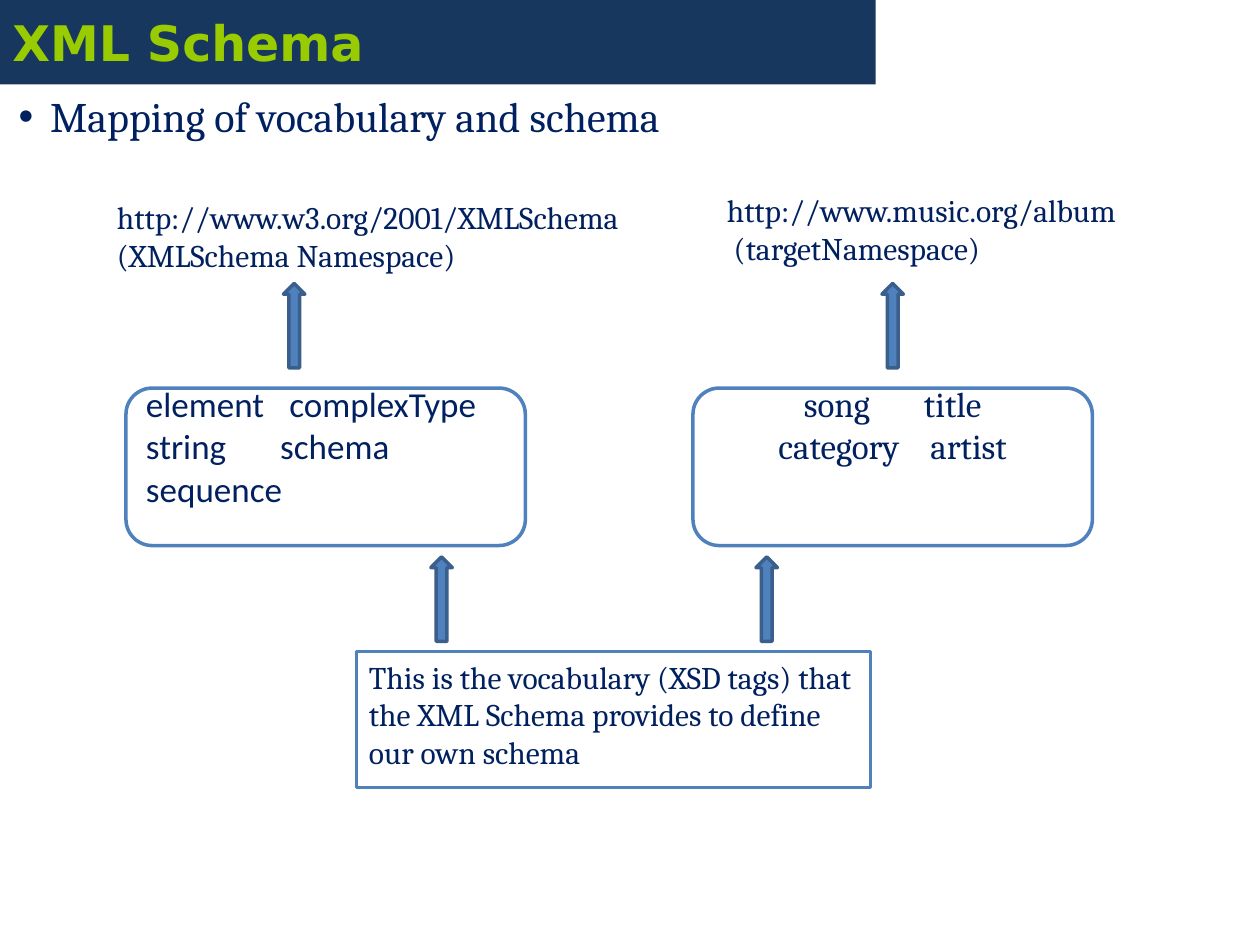
import pptx
import pptx.util
import pptx.dml.color
import pptx.enum.shapes
import pptx.enum.text
import pptx.oxml.ns
import lxml.etree

Inches, Pt = pptx.util.Inches, pptx.util.Pt
RGB = pptx.dml.color.RGBColor.from_string
SHAPE = pptx.enum.shapes.MSO_SHAPE
ANCHOR = pptx.enum.text.MSO_ANCHOR
ALIGN = pptx.enum.text.PP_ALIGN

THEME = {
    "banner": "17375E", "title": "99CC00", "text": "002060",
    "white": "FFFFFF", "blue": "4F81BD", "arrow_line": "3A5F8C",
    "title_size": 28, "bullet_size": 24, "vocab_size": 20, "label_size": 18,
    "title_font": "DejaVu Sans", "serif": "Cambria", "sans": "Calibri",
}

prs = pptx.Presentation()
prs.slide_width, prs.slide_height = Inches(10), Inches(7.5)
s = prs.slides.add_slide(prs.slide_layouts[6])


def add_shape(kind, box, fill, line=None):
    sp = s.shapes.add_shape(kind, *[Inches(v) for v in box])
    sp.shadow.inherit = False
    sp.fill.solid()
    sp.fill.fore_color.rgb = RGB(THEME[fill])
    if line:
        sp.line.color.rgb = RGB(THEME[line])
        sp.line.width = Pt(2)
    else:
        sp.line.fill.background()
    sp.text_frame.word_wrap = True
    return sp


def style(tf, size, font="serif", color="text", align=ALIGN.LEFT):
    for p in tf.paragraphs:
        p.alignment = align
        for r in p.runs:
            r.font.size = Pt(THEME[size])
            r.font.name = THEME[font]
            r.font.color.rgb = RGB(THEME[color])


# Title banner
tf = add_shape(SHAPE.RECTANGLE, (0, 0, 6.95, 0.67), "banner").text_frame
tf.text = "XML Schema"
tf.vertical_anchor = ANCHOR.MIDDLE
style(tf, "title_size", "title_font", "title")
tf.paragraphs[0].runs[0].font.bold = True

# Bullet line
tf = s.shapes.add_textbox(Inches(0.05), Inches(0.67), Inches(9.87), Inches(6.33)).text_frame
tf.word_wrap = True
tf.text = "Mapping of vocabulary and schema"
style(tf, "bullet_size")
pPr = tf.paragraphs[0]._p.get_or_add_pPr()
pPr.set("marL", str(Inches(0.25)))
pPr.set("indent", str(-Inches(0.25)))
for tag, attr, value in (("a:buFont", "typeface", "Arial"), ("a:buChar", "char", "•")):
    lxml.etree.SubElement(pPr, pptx.oxml.ns.qn(tag)).set(attr, value)

# Vocabulary boxes: each row is words with a widened space (points) between them
vocabularies = [
    (1, "sans", ALIGN.LEFT, 0.38,
     [("element", 9.8, "complexType"), ("string", 26.3, "schema"), ("sequence",)]),
    (5.5, "serif", ALIGN.CENTER, 0.72,
     [("song", 26.4, "title"), ("category", 13.2, "artist")]),
]
for left, font, align, bottom, rows in vocabularies:
    tf = add_shape(SHAPE.ROUNDED_RECTANGLE, (left, 3.08, 3.17, 1.25), "white", "blue").text_frame
    tf.vertical_anchor = ANCHOR.MIDDLE
    tf.margin_bottom = Inches(bottom)
    for i, row in enumerate(rows):
        p = tf.add_paragraph() if i else tf.paragraphs[0]
        for part in row:
            r = p.add_run()
            if isinstance(part, str):
                r.text = part
            else:
                r.text = " "
                r._r.get_or_add_rPr().set("spc", str(round(part * 100)))
    style(tf, "vocab_size", font, align=align)

# Explanation box
tf = add_shape(SHAPE.RECTANGLE, (2.83, 5.17, 4.08, 1.08), "white", "blue").text_frame
tf.text = ("This is the vocabulary (XSD tags) that the XML Schema "
           "provides to define our own schema")
tf.vertical_anchor = ANCHOR.TOP
style(tf, "label_size")

# Namespace labels
labels = [
    ((0.83, 1.52, 4.74, 0.71), "http://www.w3.org/2001/XMLSchema\n(XMLSchema Namespace)"),
    ((5.67, 1.47, 3.71, 1.04), "http://www.music.org/album\n (targetNamespace)"),
]
for box, text in labels:
    tf = s.shapes.add_textbox(*[Inches(v) for v in box]).text_frame
    tf.word_wrap = True
    tf.text = text
    style(tf, "label_size")

# Arrows
for left, top in ((3.42, 4.42), (6, 4.42), (2.25, 2.25), (7, 2.25)):
    add_shape(SHAPE.UP_ARROW, (left, top, 0.17, 0.67), "blue", "arrow_line")

prs.save("out.pptx")
